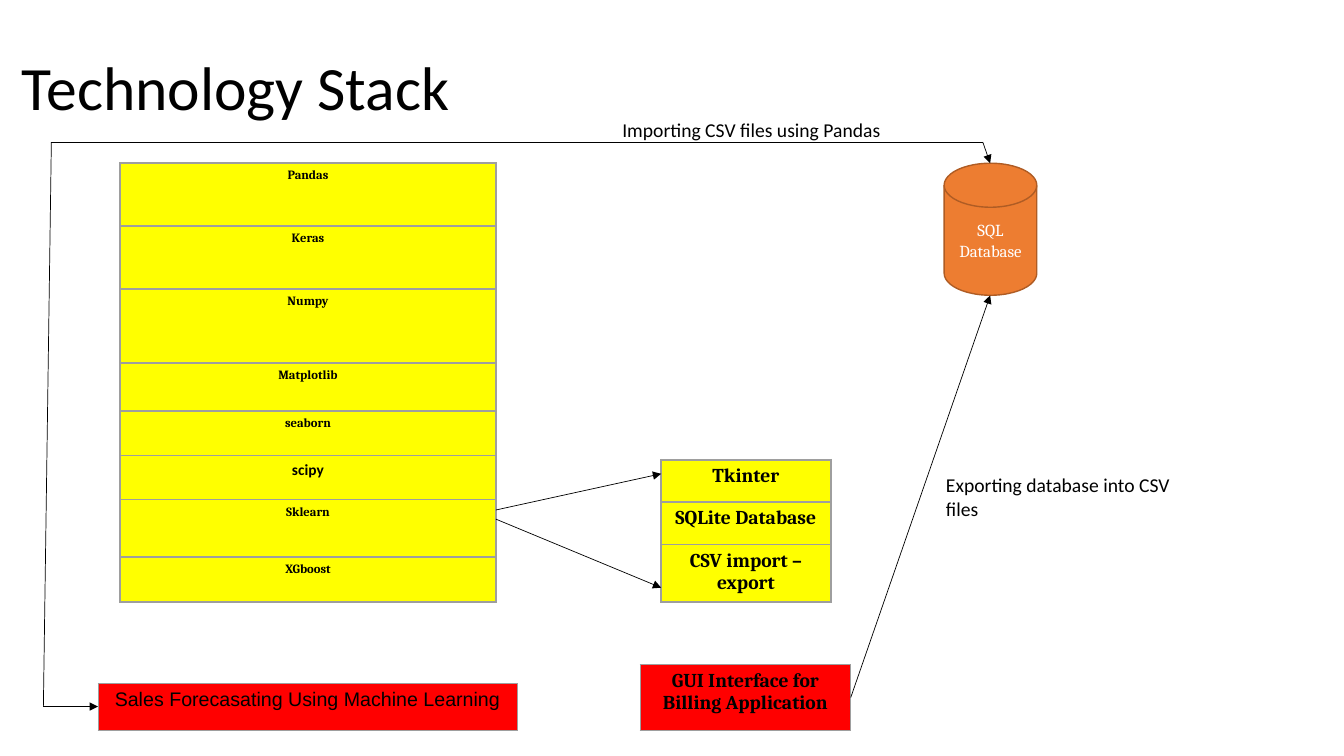
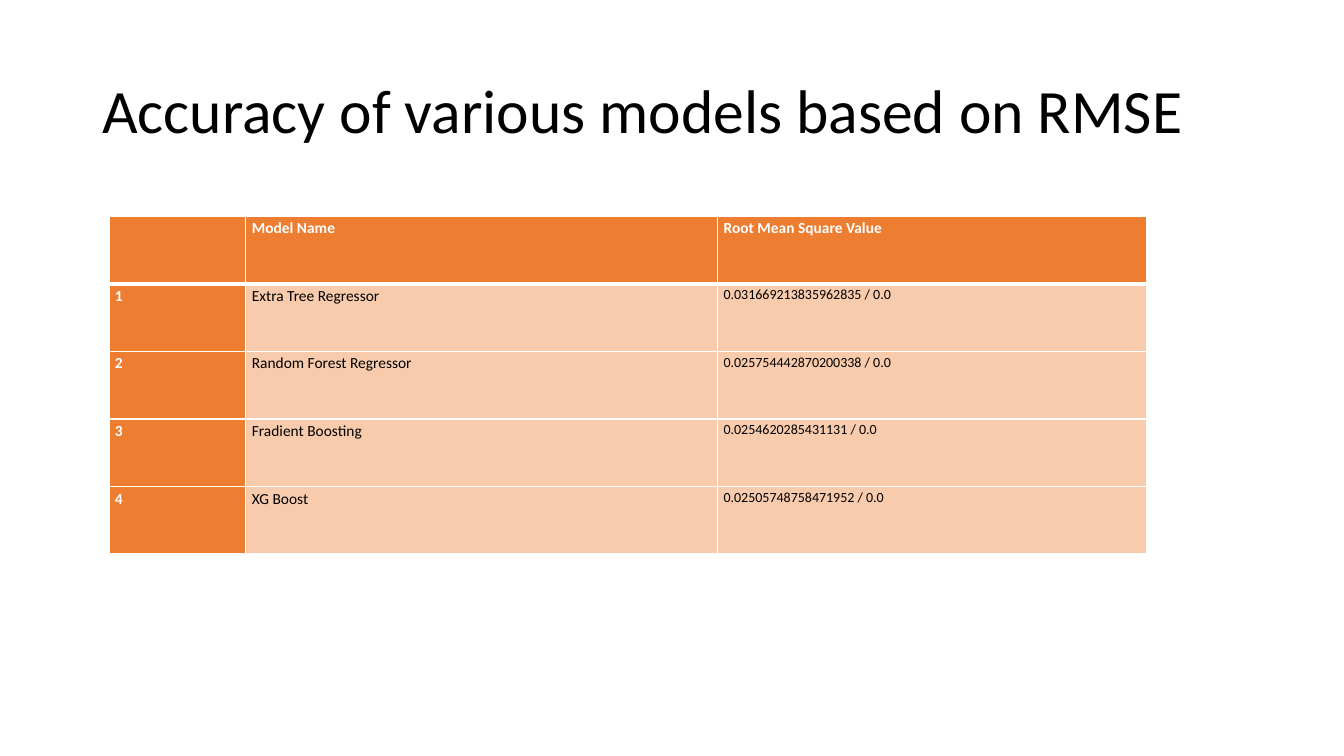
from dataclasses import dataclass

from pptx import Presentation
from pptx.dml.color import RGBColor
from pptx.enum.shapes import MSO_CONNECTOR, MSO_SHAPE
from pptx.enum.text import MSO_ANCHOR, PP_ALIGN
from pptx.oxml.ns import qn
from pptx.util import Pt
from lxml.etree import SubElement


@dataclass(frozen=True)
class Theme:
    black: str = "000000"
    white: str = "FFFFFF"
    grey: str = "9E9E9E"
    yellow: str = "FFFF00"
    red: str = "FF0000"
    orange: str = "ED7D31"
    dark_orange: str = "AF5C24"
    peach: str = "F8CBAD"
    body: str = "Calibri"
    serif: str = "Cambria"
    sans: str = "Arial"
    title_size: float = 44
    label_size: float = 14
    disk_size: float = 12
    table_size: float = 11
    value_size: float = 10
    library_size: float = 9


THEME = Theme()
STACK_MARGINS = (7.2, 3.6)
MODEL_MARGINS = (4.3, 0)


def apply_formats(target, formats):
    for name, value in formats.items():
        setattr(target, name, value)


def font(size, name=THEME.body, color=THEME.black, bold=False):
    return {"size": Pt(size), "name": name, "bold": bold, "color": color}


def write(frame, text, text_font, paragraph_formats=None):
    frame.text = text
    for paragraph in frame.paragraphs:
        apply_formats(paragraph, paragraph_formats or {})
        for run in paragraph.runs:
            apply_formats(run.font, {k: v for k, v in text_font.items() if k != "color"})
            run.font.color.rgb = RGBColor.from_string(text_font["color"])


def add_label(slide, text, box, text_font, anchor=MSO_ANCHOR.TOP, spacing=None):
    frame = slide.shapes.add_textbox(*map(Pt, box)).text_frame
    apply_formats(frame, {"word_wrap": True, "vertical_anchor": anchor})
    write(frame, text, text_font, {"line_spacing": spacing})


def add_title(slide, text, left, top):
    add_label(slide, text, (left, top, 828, 104.4), font(THEME.title_size),
              MSO_ANCHOR.MIDDLE, 0.9)


def set_borders(cell, color, widths):
    properties = cell._tc.get_or_add_tcPr()
    for side, width in zip("LRTB", widths):
        border = SubElement(properties, qn(f"a:ln{side}"), w=str(Pt(width)))
        SubElement(SubElement(border, qn("a:solidFill")), qn("a:srgbClr"), val=color)


def format_cell(cell, fill, border_color, border_widths, margins):
    set_borders(cell, border_color, border_widths)
    cell.fill.solid()
    cell.fill.fore_color.rgb = RGBColor.from_string(fill)
    side, end = map(Pt, margins)
    apply_formats(cell, {"margin_left": side, "margin_right": side,
                         "margin_top": end, "margin_bottom": end})


def add_grid(slide, left, top, widths, heights):
    table = slide.shapes.add_table(len(heights), len(widths), Pt(left), Pt(top),
                                   Pt(sum(widths)), Pt(sum(heights))).table
    apply_formats(table, {"first_row": False, "horz_banding": False})
    for column, width in zip(table.columns, widths):
        column.width = Pt(width)
    for row, height in zip(table.rows, heights):
        row.height = Pt(height)
    return table


def add_stack(slide, left, top, width, layers, fill, border_width):
    table = add_grid(slide, left, top, [width], [height for _, height, _ in layers])
    for row, (text, _, text_font) in enumerate(layers):
        cell = table.cell(row, 0)
        format_cell(cell, fill, THEME.grey, [border_width] * 4, STACK_MARGINS)
        write(cell.text_frame, text, text_font, {"alignment": PP_ALIGN.CENTER})


def add_model_table(slide, left, top, widths, row_height, records):
    table = add_grid(slide, left, top, widths, [row_height] * len(records))
    heading_font = font(THEME.table_size, color=THEME.white, bold=True)
    column_fonts = [heading_font, font(THEME.table_size), font(THEME.value_size)]
    for row, record in enumerate(records):
        for column, text in enumerate(record):
            is_heading = row == 0 or column == 0
            borders = [1, 1, 3 if row == 1 else 1, 3 if row == 0 else 1]
            cell = table.cell(row, column)
            format_cell(cell, THEME.orange if is_heading else THEME.peach,
                        THEME.white, borders, MODEL_MARGINS)
            write(cell.text_frame, text,
                  heading_font if is_heading else column_fonts[column],
                  {"alignment": PP_ALIGN.JUSTIFY, "line_spacing": 1.15})


def add_line(slide, start, end, arrow=True):
    connector = slide.shapes.add_connector(MSO_CONNECTOR.STRAIGHT,
                                           *map(Pt, (*start, *end)))
    connector.line.width = Pt(0.5)
    connector.line.color.rgb = RGBColor.from_string(THEME.black)
    if arrow:
        SubElement(connector.line._get_or_add_ln(), qn("a:tailEnd"), type="triangle")
    SubElement(connector._element.spPr, qn("a:effectLst"))


def add_database(slide, text, box):
    disk = slide.shapes.add_shape(MSO_SHAPE.FLOWCHART_MAGNETIC_DISK, *map(Pt, box))
    disk.shadow.inherit = False
    disk.fill.solid()
    disk.fill.fore_color.rgb = RGBColor.from_string(THEME.orange)
    disk.line.color.rgb = RGBColor.from_string(THEME.dark_orange)
    disk.line.width = Pt(1)
    apply_formats(disk.text_frame, {"word_wrap": True, "vertical_anchor": MSO_ANCHOR.MIDDLE})
    write(disk.text_frame, text, font(THEME.disk_size, THEME.serif, THEME.white),
          {"alignment": PP_ALIGN.CENTER})


def build_technology_slide(slide):
    add_title(slide, "Technology Stack", 8.6, 12.2)

    library_font = font(THEME.library_size, THEME.serif, bold=True)
    scipy_font = font(THEME.table_size, bold=True)
    billing_font = font(THEME.label_size, THEME.serif, bold=True)
    libraries = [
        ("Pandas", 45, library_font),
        ("Keras", 45, library_font),
        ("Numpy", 52.5, library_font),
        ("Matplotlib", 34.3, library_font),
        ("seaborn", 32, library_font),
        ("scipy", 31.5, scipy_font),
        ("Sklearn", 41.3, library_font),
        ("XGboost", 32, library_font),
    ]
    billing_parts = [
        ("Tkinter", 30.3, billing_font),
        ("SQLite Database", 30.3, billing_font),
        ("CSV import – export", 40.5, billing_font),
    ]
    forecasting = [("Sales Forecasating Using Machine Learning", 33.6,
                    font(THEME.label_size, THEME.sans))]
    interface = [("GUI Interface for Billing Application", 47, billing_font)]
    add_stack(slide, 85.7, 116.6, 268.6, libraries, THEME.yellow, 1.47)
    add_stack(slide, 70, 488.2, 299.5, forecasting, THEME.red, 0.75)
    add_stack(slide, 472.3, 328.4, 121, billing_parts, THEME.yellow, 1.47)
    add_stack(slide, 457.2, 474.7, 150.5, interface, THEME.red, 0.75)

    for arrow_end in ((472.3, 338.4), (472.3, 419.8)):
        add_line(slide, (354.2, 364.3 if arrow_end[1] < 364 else 370.8), arrow_end)

    add_database(slide, "SQL\nDatabase", (674.4, 116.6, 66.2, 94.3))
    add_line(slide, (607.7, 498.2), (707.3, 211))

    import_route = [(70, 504.7), (31, 504.7), (36.7, 101.5), (702, 101.5), (707.3, 116.6)]
    add_line(slide, import_route[1], import_route[0])
    add_line(slide, import_route[2], import_route[1], arrow=False)
    add_line(slide, import_route[3], import_route[2], arrow=False)
    add_line(slide, import_route[3], import_route[4])

    label_font = font(THEME.label_size)
    add_label(slide, "Importing CSV files using Pandas", (437.4, 80.8, 202.4, 24.2), label_font)
    add_label(slide, "Exporting database into CSV files", (668.6, 334.4, 178, 41.2), label_font)


def build_accuracy_slide(slide):
    add_title(slide, "Accuracy of various models based on RMSE", 66, 28.8)
    records = [
        ("", "Model Name", "Root Mean Square Value"),
        ("1", "Extra Tree Regressor", "0.031669213835962835 / 0.0"),
        ("2", "Random Forest Regressor", "0.025754442870200338 / 0.0"),
        ("3", "Fradient Boosting", "0.0254620285431131 / 0.0"),
        ("4", "XG Boost", "0.02505748758471952 / 0.0"),
    ]
    add_model_table(slide, 77.8, 154.4, [97.8, 337, 306.3], 48.3, records)


def main():
    presentation = Presentation()
    apply_formats(presentation, {"slide_width": Pt(960), "slide_height": Pt(540)})
    for build in (build_technology_slide, build_accuracy_slide):
        build(presentation.slides.add_slide(presentation.slide_layouts[6]))
    presentation.save("out.pptx")


if __name__ == "__main__":
    main()
